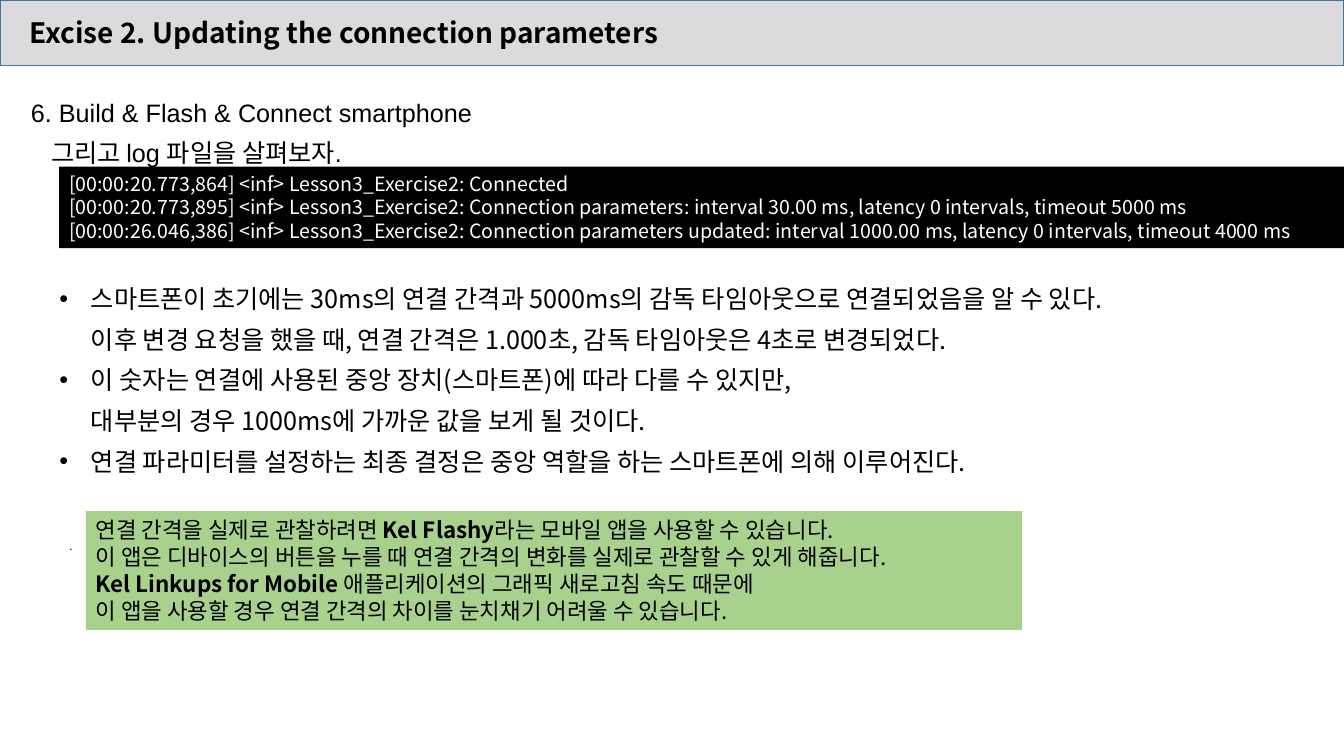
from lxml.etree import SubElement
from pptx import Presentation
from pptx.dml.color import RGBColor
from pptx.enum.shapes import MSO_SHAPE as Shape
from pptx.enum.text import MSO_ANCHOR as Anchor, PP_ALIGN as Align
from pptx.oxml.ns import qn
from pptx.util import Pt

BLACK = RGBColor(0x00, 0x00, 0x00)
WHITE = RGBColor(0xFF, 0xFF, 0xFF)
GRAY = RGBColor(0xDB, 0xDB, 0xDB)
BLUE = RGBColor(0x43, 0x73, 0x9E)
GREEN = RGBColor(0xA9, 0xD1, 0x8E)


class SlideBuilder:
    korean_font = "Noto Sans CJK KR"
    line_pitch = 29

    def __init__(self, slide):
        self.slide = slide

    def bar(self, left, top, width, height, fill, line=None):
        shape = self.slide.shapes.add_shape(
            Shape.RECTANGLE, Pt(left), Pt(top), Pt(width), Pt(height))
        shape.shadow.inherit = False
        shape.fill.solid()
        shape.fill.fore_color.rgb = fill
        if line is None:
            shape.line.fill.background()
        else:
            shape.line.color.rgb = line
            shape.line.width = Pt(1)
        return shape

    def box(self, left, top, width, height):
        return self.slide.shapes.add_textbox(Pt(left), Pt(top), Pt(width), Pt(height))

    def add_text(self, shape, paragraphs, size, color=BLACK, font=korean_font,
                 anchor=Anchor.TOP, wrap=True, margin=0, indent=0,
                 spaced=False, bullet=None):
        frame = shape.text_frame
        frame.word_wrap = wrap
        frame.vertical_anchor = anchor
        for index, runs in enumerate(paragraphs):
            paragraph = frame.paragraphs[0] if index == 0 else frame.add_paragraph()
            paragraph.alignment = Align.LEFT
            if spaced:
                paragraph.line_spacing = Pt(self.line_pitch)
            properties = paragraph._p.get_or_add_pPr()
            properties.set("marL", str(Pt(margin)))
            properties.set("indent", str(Pt(indent)))
            if bullet:
                SubElement(properties, qn("a:buFont")).set("typeface", "Arial")
                SubElement(properties, qn("a:buChar")).set("char", bullet)
            for text, bold in runs:
                for number, line in enumerate(text.split("\n")):
                    if number:
                        paragraph.add_line_break()
                    self.add_run(paragraph, line, size, color, font, bold)

    def add_run(self, paragraph, text, size, color, font, bold):
        run = paragraph.add_run()
        run.text = text
        run.font.size = Pt(size)
        run.font.bold = bold
        run.font.color.rgb = color
        run.font.name = font
        SubElement(run._r.get_or_add_rPr(), qn("a:ea")).set("typeface", self.korean_font)


def plain(*texts):
    return [[(text, False)] for text in texts]


def main():
    presentation = Presentation()
    presentation.slide_width = Pt(960)
    presentation.slide_height = Pt(540)
    builder = SlideBuilder(presentation.slides.add_slide(presentation.slide_layouts[6]))

    title = builder.bar(0, 0, 960, 46.8, GRAY, BLUE)
    builder.add_text(title, [[("Excise 2. Updating the connection parameters", True)]],
                     20, anchor=Anchor.MIDDLE, margin=14)

    step = builder.box(15, 58.3, 929, 121)
    builder.add_text(step, plain("6. Build & Flash & Connect smartphone\n그리고 log 파일을 살펴보자."),
                     18, font="Arial", margin=14.4, indent=-14.4, spaced=True)

    dot = builder.box(42.5, 381.6, 19.4, 17.3)
    builder.add_text(dot, plain("."), 8, anchor=Anchor.MIDDLE, wrap=False)

    log = builder.bar(42.3, 119, 917.7, 58.2, BLACK)
    builder.add_text(log, plain(
        "[00:00:20.773,864] <inf> Lesson3_Exercise2: Connected",
        "[00:00:20.773,895] <inf> Lesson3_Exercise2: Connection parameters: "
        "interval 30.00 ms, latency 0 intervals, timeout 5000 ms",
        "[00:00:26.046,386] <inf> Lesson3_Exercise2: Connection parameters updated: "
        "interval 1000.00 ms, latency 0 intervals, timeout 4000 ms",
    ), 14, color=WHITE)

    findings = builder.box(35.3, 191.5, 918, 150.5)
    builder.add_text(findings, plain(
        "스마트폰이 초기에는 30ms의 연결 간격과 5000ms의 감독 타임아웃으로 연결되었음을 알 수 있다.\n"
        "이후 변경 요청을 했을 때, 연결 간격은 1.000초, 감독 타임아웃은 4초로 변경되었다.",
        "이 숫자는 연결에 사용된 중앙 장치(스마트폰)에 따라 다를 수 있지만,\n"
        "대부분의 경우 1000ms에 가까운 값을 보게 될 것이다.",
        "연결 파라미터를 설정하는 최종 결정은 중앙 역할을 하는 스마트폰에 의해 이루어진다.",
    ), 18, margin=22.5, indent=-22.5, spaced=True, bullet="•")

    tip = builder.bar(61.3, 365.2, 668.7, 84.8, GREEN)
    builder.add_text(tip, [
        [("연결 간격을 실제로 관찰하려면 ", False), ("Kel Flashy", True),
         ("라는 모바일 앱을 사용할 수 있습니다.", False)],
        [("이 앱은 디바이스의 버튼을 누를 때 연결 간격의 변화를 실제로 관찰할 수 있게 해줍니다.", False)],
        [("Kel Linkups for Mobile", True),
         (" 애플리케이션의 그래픽 새로고침 속도 때문에", False)],
        [("이 앱을 사용할 경우 연결 간격의 차이를 눈치채기 어려울 수 있습니다.", False)],
    ], 16)

    presentation.save("out.pptx")


if __name__ == "__main__":
    main()
